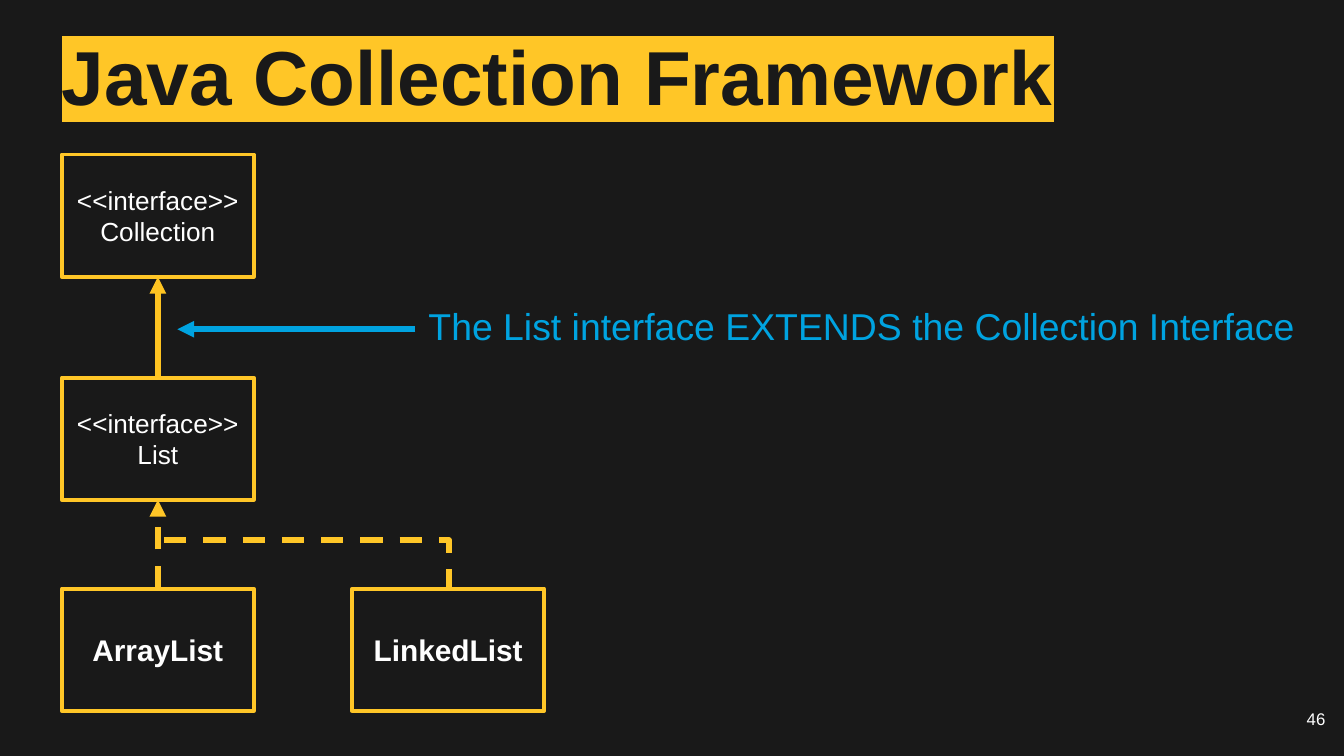
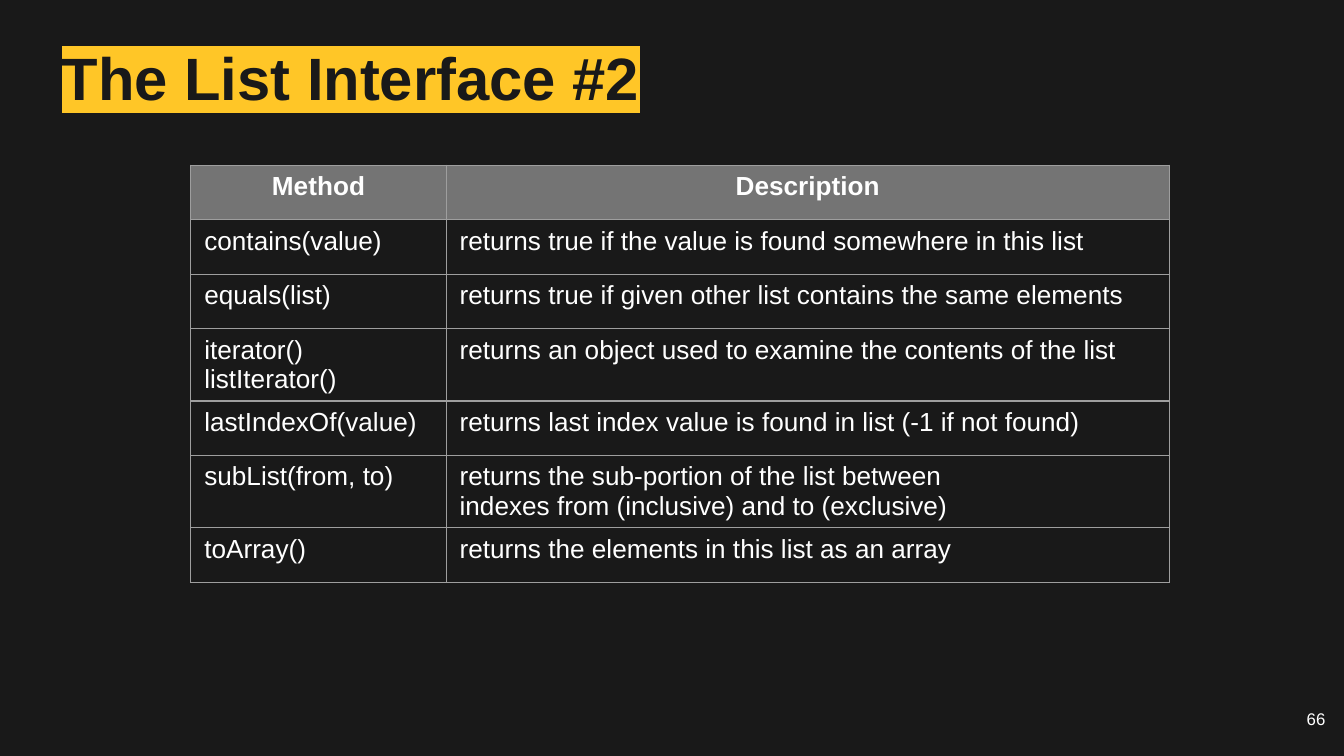
from lxml import etree
from pptx import Presentation
from pptx.dml.color import RGBColor
from pptx.enum import dml, shapes, text
from pptx.oxml import ns
from pptx.util import Inches, Pt

DARK, GOLD, AMBER, BLUE = "191919", "FFC627", "FFC421", "00A3E0"
WHITE, HEADER_GREY, BORDER_GREY = "FFFFFF", "747474", "9E9E9E"
FONT = "Arial"
LEFT, CENTER, RIGHT = text.PP_ALIGN.LEFT, text.PP_ALIGN.CENTER, text.PP_ALIGN.RIGHT
TOP, MIDDLE = text.MSO_ANCHOR.TOP, text.MSO_ANCHOR.MIDDLE

METHODS = [
    ("Method", "Description"),
    ("contains(value)", "returns true if the value is found somewhere in this list"),
    ("equals(list)", "returns true if given other list contains the same elements"),
    ("iterator()\nlistIterator()", "returns an object used to examine the contents of the list"),
    ("lastIndexOf(value)", "returns last index value is found in list (-1 if not found)"),
    ("subList(from, to)", "returns the sub-portion of the list between\v"
                          "indexes from (inclusive) and to (exclusive)"),
    ("toArray()", "returns the elements in this list as an array"),
]


def rgb(value):
    return RGBColor.from_string(value)


def add_xml(parent, tag, **attrs):
    return etree.SubElement(parent, ns.qn(tag), attrs)


def add_solid(parent, color):
    fill = add_xml(parent, "a:solidFill")
    add_xml(fill, "a:srgbClr", val=color)


def highlight(r, color):
    mark = etree.Element(ns.qn("a:highlight"))
    add_xml(mark, "a:srgbClr", val=color)
    r.font.fill._xPr.find(ns.qn("a:solidFill")).addnext(mark)


def write(tf, content, size=14, color=WHITE, bold=False, align=LEFT,
          anchor=TOP, spacing=None, mark=None, insets=None):
    """Fill a text frame; a newline starts a paragraph, \\v breaks a line."""
    tf.word_wrap = True
    tf.vertical_anchor = anchor
    if insets:
        (tf.margin_left, tf.margin_top,
         tf.margin_right, tf.margin_bottom) = map(Inches, insets)
    for i, line in enumerate(content.split("\n")):
        p = tf.add_paragraph() if i else tf.paragraphs[0]
        p.text = line
        p.alignment = align
        if spacing:
            p.line_spacing = spacing
        for r in p.runs:
            r.font.name, r.font.size, r.font.bold = FONT, Pt(size), bold
            r.font.color.rgb = rgb(color)
            if mark:
                highlight(r, mark)


class Deck:
    def __init__(self):
        self.prs = Presentation()
        self.prs.slide_width = Inches(10)
        self.prs.slide_height = Inches(10) * 9 // 16
        fill = self.prs.slide_master.background.fill
        fill.solid()
        fill.fore_color.rgb = rgb(DARK)
        self.s = None

    def slide(self, title, number, title_size):
        layout = self.prs.slide_layouts.get_by_name("Title Only")
        self.s = self.prs.slides.add_slide(layout)
        sp = self.s.shapes.title
        sp.left, sp.top, sp.width, sp.height = map(Inches, (0.46, 0.35, 9.2, 0.5))
        sp.text_frame.auto_size = text.MSO_AUTO_SIZE.NONE
        write(sp.text_frame, title, size=title_size, color=DARK, bold=True,
              anchor=MIDDLE, spacing=0.9, mark=GOLD, insets=(0, 0.04, 0.07, 0.04))
        self.label(str(number), 9.36, 5.19, 0.6, 0.43, size=9, align=RIGHT,
                   insets=(0.1, 0.12, 0.1, 0.1))

    def label(self, content, x, y, w, h, **style):
        sp = self.s.shapes.add_textbox(*map(Inches, (x, y, w, h)))
        write(sp.text_frame, content, **style)

    def type_box(self, content, x, y, **style):
        sp = self.s.shapes.add_shape(shapes.MSO_SHAPE.RECTANGLE,
                                     *map(Inches, (x, y, 1.43, 0.91)))
        sp.shadow.inherit = False
        sp.fill.solid()
        sp.fill.fore_color.rgb = rgb(DARK)
        sp.line.color.rgb = rgb(GOLD)
        sp.line.width = Pt(2)
        write(sp.text_frame, content, align=CENTER, anchor=MIDDLE, **style)
        return sp

    def connector(self, start=(0, 0), end=(0, 0), color=GOLD, dashed=False,
                  arrow=True, kind=shapes.MSO_CONNECTOR.STRAIGHT):
        cxn = self.s.shapes.add_connector(kind, *map(Inches, (*start, *end)))
        cxn.line.color.rgb = rgb(color)
        cxn.line.width = Pt(3)
        if dashed:
            cxn.line.dash_style = dml.MSO_LINE.DASH
        if arrow:
            add_xml(cxn.line._get_or_add_ln(), "a:tailEnd", type="triangle")
        add_xml(cxn._element.spPr, "a:effectLst")
        return cxn

    def inherits(self, child, parent, **style):
        """Arrow from the top of the child box to the bottom of its parent."""
        cxn = self.connector(**style)
        cxn.begin_connect(child, 0)
        cxn.end_connect(parent, 2)

    def corner(self, start, end):
        """Dashed line that runs across and then down, with one bend."""
        cxn = self.connector(start, end, dashed=True, arrow=False,
                             kind=shapes.MSO_CONNECTOR.ELBOW)
        cxn._element.spPr.find(ns.qn("a:prstGeom")).set("prst", "bentConnector2")

    def table(self, rows, x, y, widths, height):
        """Table with equal rows; rows of two lines grow when drawn."""
        frame = self.s.shapes.add_table(
            len(rows), len(widths), Inches(x), Inches(y),
            Inches(sum(widths)), Inches(height))
        table = frame.table
        table.horz_banding = False
        for column, width in zip(table.columns, widths):
            column.width = Inches(width)
        for i, row in enumerate(rows):
            table.rows[i].height = Inches(height) // len(rows)
            for j, content in enumerate(row):
                self.cell(table.cell(i, j), content, header=i == 0)

    def cell(self, cell, content, header):
        cell.margin_bottom = Inches(0.02)
        tc_pr = cell._tc.get_or_add_tcPr()
        for side in "LRTB":
            add_solid(add_xml(tc_pr, f"a:ln{side}", w=str(Pt(0.75))), BORDER_GREY)
        if header:
            cell.fill.solid()
            cell.fill.fore_color.rgb = rgb(HEADER_GREY)
        else:
            cell.fill.background()
        write(cell.text_frame, content, bold=header, align=CENTER if header else LEFT)


def collection_framework(deck):
    deck.slide("Java Collection Framework", 46, title_size=41)
    left = 0.46
    collection = deck.type_box("<<interface>>\nCollection", left, 1.15)
    list_box = deck.type_box("<<interface>>\nList", left, 2.81)
    array_list = deck.type_box("ArrayList", left, 4.38, size=16, bold=True)
    deck.type_box("LinkedList", 2.62, 4.38, size=16, bold=True)

    deck.inherits(list_box, collection, color=AMBER)
    deck.inherits(array_list, list_box, dashed=True)
    deck.corner((1.22, 4.02), (3.34, 4.38))

    deck.connector((3.09, 2.45), (1.32, 2.45), color=BLUE)
    deck.label("The List interface EXTENDS the Collection Interface",
               3.09, 2.21, 6.87, 0.77, size=20, color=BLUE)


def list_interface(deck):
    deck.slide("The List Interface #2", 66, title_size=32)
    deck.table(METHODS, 1.42, 1.23, widths=(1.9, 5.38), height=2.84)


def main():
    deck = Deck()
    collection_framework(deck)
    list_interface(deck)
    deck.prs.save("out.pptx")


if __name__ == "__main__":
    main()
